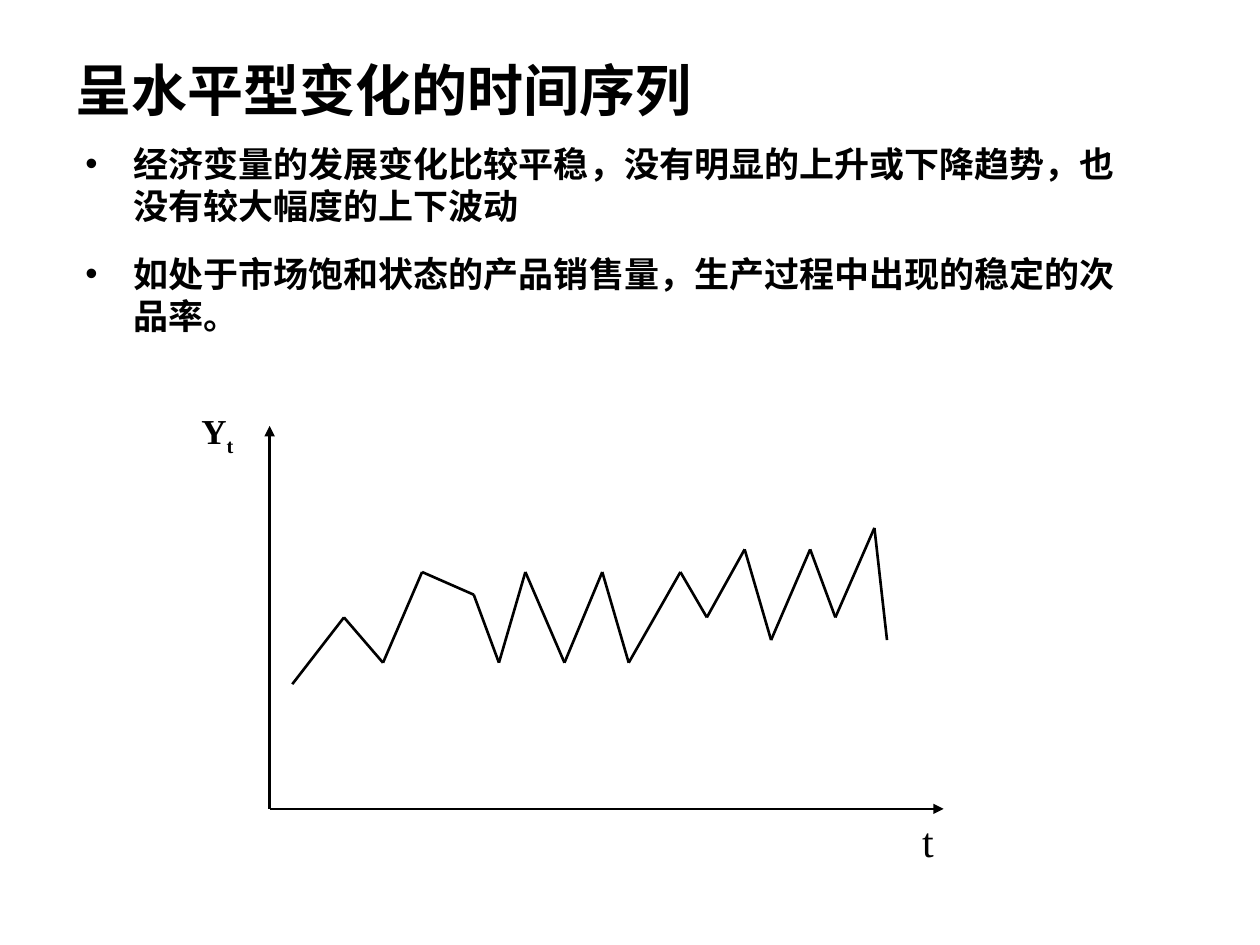
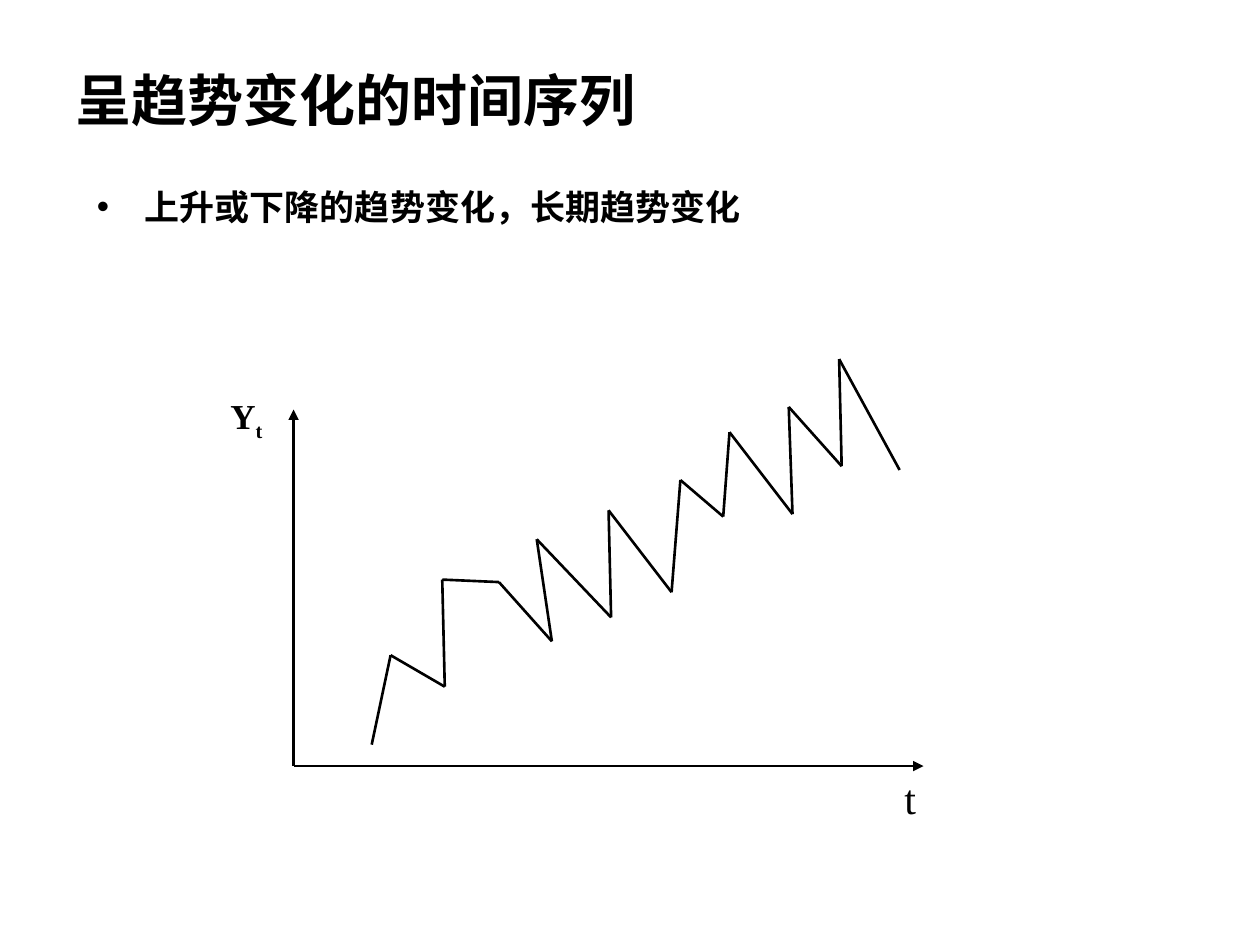
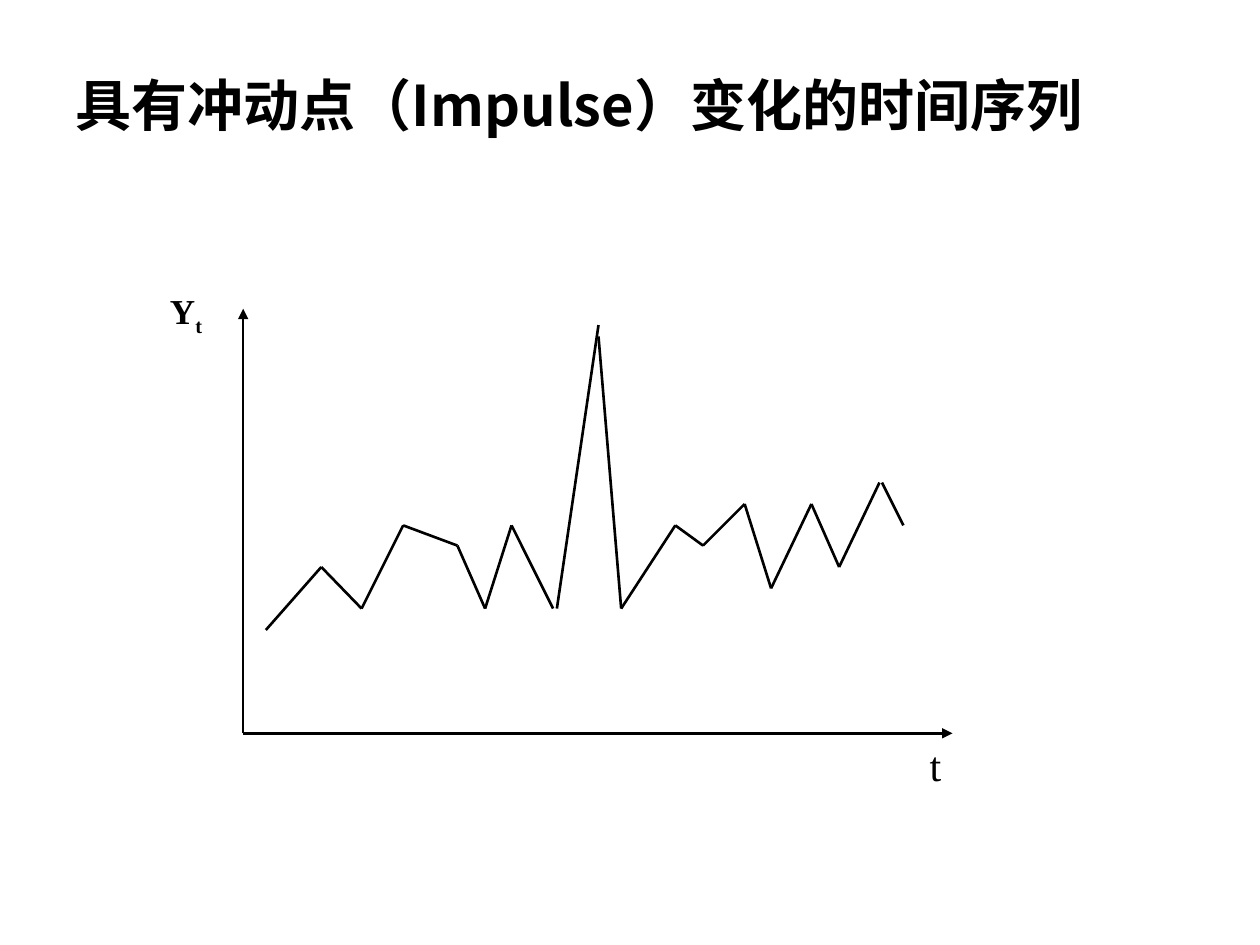
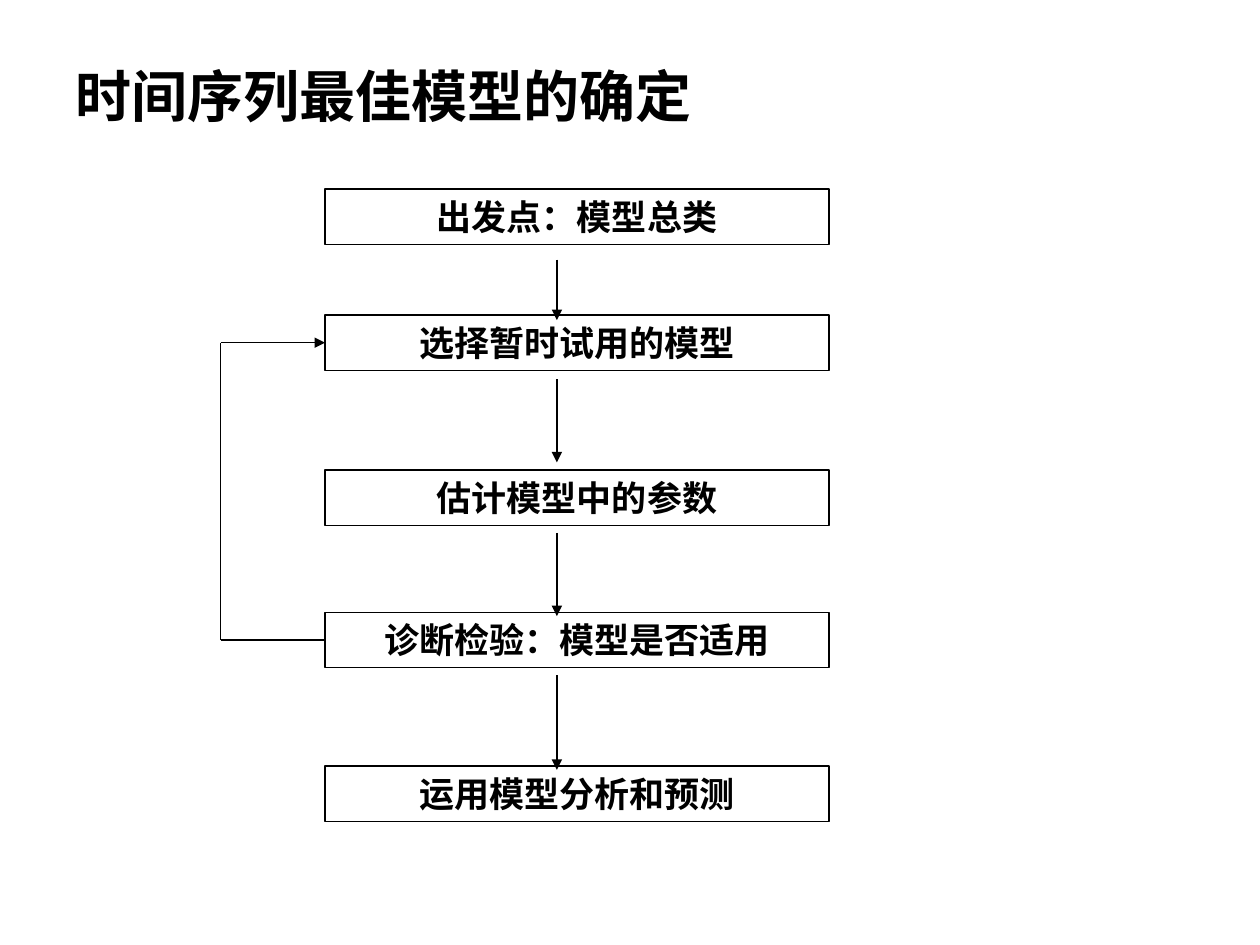
from dataclasses import dataclass
from itertools import pairwise
from typing import Any, NamedTuple

from lxml.etree import SubElement
from pptx import Presentation
from pptx.dml.color import RGBColor
from pptx.enum.shapes import MSO_CONNECTOR as Connector, MSO_SHAPE as Preset
from pptx.enum.text import MSO_ANCHOR as Anchor, MSO_AUTO_SIZE as AutoSize, PP_ALIGN as Align
from pptx.oxml.ns import qn
from pptx.slide import Slide
from pptx.util import Emu, Pt

PX = 9144
BLACK = RGBColor(0, 0, 0)
LATIN, CHINESE, SERIF = "Arial", "Noto Sans CJK SC", "Times New Roman"
TITLE_FONT = {"size": Pt(32), "bold": True, "name": LATIN}
BODY_FONT = {"size": Pt(20), "bold": True, "name": LATIN}
SERIF_FONT = {"size": Pt(20), "bold": True, "name": SERIF}
TIME_FONT = {"size": Pt(24), "bold": False, "name": SERIF}
TITLE_FRAME = {"word_wrap": True, "vertical_anchor": Anchor.MIDDLE}
TEXT_FRAME = {"word_wrap": True, "vertical_anchor": Anchor.TOP}
GROWING_FRAME = TEXT_FRAME | {"auto_size": AutoSize.SHAPE_TO_FIT_TEXT}
LINE_PITCH = Pt(24)
BULLET_INDENT = 38
PLOT_LINE, FLOW_LINE = 1.5, 0.75


class Point(NamedTuple):
    x: int
    y: int


class Box(NamedTuple):
    left: int
    top: int
    width: int
    height: int


@dataclass(frozen=True)
class Plot:
    origin: Point
    y_tip: int
    x_tip: int
    y_label: Box
    t_label: Box
    strokes: list[list[tuple[int, int]]]


@dataclass(frozen=True)
class SeriesSlide:
    title: str
    title_box: Box
    plot: Plot
    title_font: str = LATIN
    bullets: tuple[str, ...] = ()
    bullet_box: Box | None = None


SERIES_SLIDES = [
    SeriesSlide(
        "呈水平型变化的时间序列", Box(50, 42, 900, 58),
        Plot(Point(214, 642), 338, 749, Box(150, 320, 64, 48), Box(722, 642, 45, 50), [[
            (232, 543), (273, 490), (304, 526), (335, 454), (376, 472), (396, 526),
            (417, 454), (448, 526), (478, 454), (499, 526), (540, 454), (561, 490),
            (591, 436), (612, 508), (643, 436), (663, 490), (694, 419), (704, 508)]]),
        bullets=("经济变量的发展变化比较平稳，没有明显的上升或下降趋势，也没有较大幅度的上下波动",
                 "如处于市场饱和状态的产品销售量，生产过程中出现的稳定的次品率。"),
        bullet_box=Box(58, 108, 850, 167)),
    SeriesSlide(
        "呈趋势变化的时间序列", Box(50, 50, 900, 58),
        Plot(Point(233, 608), 325, 733, Box(173, 308, 60, 48), Box(708, 608, 42, 50), [[
            (295, 591), (310, 520), (353, 545), (351, 460), (396, 462), (438, 509),
            (426, 428), (485, 490), (483, 405), (533, 470), (540, 381), (574, 410),
            (579, 343), (629, 408), (626, 323), (668, 370), (666, 285), (714, 373)]]),
        bullets=("上升或下降的趋势变化，长期趋势变化",),
        bullet_box=Box(67, 142, 850, 50)),
    SeriesSlide(
        "具有冲动点（Impulse）变化的时间序列", Box(50, 58, 900, 50),
        Plot(Point(193, 582), 245, 756, Box(125, 225, 68, 48), Box(728, 582, 47, 50), [
            [(211, 500), (255, 450), (287, 483), (320, 417), (363, 433), (385, 483),
             (406, 417), (439, 483)],
            [(442, 483), (475, 258)],
            [(475, 267), (493, 483), (536, 417), (558, 433), (591, 400), (612, 467),
             (644, 400), (666, 450), (698, 383)],
            [(700, 383), (717, 417)]]),
        title_font=CHINESE),
]

STEPS = [("出发点：模型总类", 150), ("选择暂时试用的模型", 250), ("估计模型中的参数", 373),
         ("诊断检验：模型是否适用", 486), ("运用模型分析和预测", 608)]
STEP_LEFT, STEP_WIDTH, STEP_HEIGHT = 258, 400, 44
STEP_ARROWS = [(206, 254), (301, 367), (423, 489), (536, 611)]
ARROW_X, LOOP_X = 442, 175


def apply_format(target: Any, values: dict[str, Any]) -> None:
    for name, value in values.items():
        setattr(target, name, value)


def to_emu(*lengths: int) -> list[Emu]:
    return [Emu(length * PX) for length in lengths]


def add_run(paragraph: Any, text: str, font: dict[str, Any]) -> Any:
    run = paragraph.add_run()
    run.text = text
    apply_format(run.font, font)
    run.font.color.rgb = BLACK
    properties = run.font._element
    SubElement(properties, qn("a:ea"), typeface=CHINESE)
    return properties


def add_text_box(slide: Slide, box: Box, frame_format: dict[str, Any]) -> Any:
    frame = slide.shapes.add_textbox(*to_emu(*box)).text_frame
    apply_format(frame, frame_format)
    return frame


def add_title(slide: Slide, text: str, box: Box, font_name: str = LATIN) -> None:
    frame = add_text_box(slide, box, TITLE_FRAME)
    add_run(frame.paragraphs[0], text, TITLE_FONT | {"name": font_name})


def add_bullets(slide: Slide, texts: tuple[str, ...], box: Box) -> None:
    frame = add_text_box(slide, box, TEXT_FRAME)
    for index, text in enumerate(texts):
        paragraph = frame.add_paragraph() if index else frame.paragraphs[0]
        properties = paragraph._p.get_or_add_pPr()
        properties.set("marL", str(BULLET_INDENT * PX))
        properties.set("indent", str(-BULLET_INDENT * PX))
        color = SubElement(properties, qn("a:buClr"))
        SubElement(color, qn("a:srgbClr"), val=str(BLACK))
        SubElement(properties, qn("a:buFont"), typeface=LATIN)
        SubElement(properties, qn("a:buChar"), char="•")
        apply_format(paragraph, {"line_spacing": LINE_PITCH, "space_after": Pt(7.5),
                                 "space_before": Pt(7.5 if index else 0)})
        add_run(paragraph, text, BODY_FONT)


def add_line(slide: Slide, start: tuple[int, int], end: tuple[int, int],
             width: float, arrow: bool = False) -> None:
    connector = slide.shapes.add_connector(Connector.STRAIGHT, *to_emu(*start, *end))
    connector.line.color.rgb = BLACK
    connector.line.width = Pt(width)
    properties = connector._element.spPr
    if arrow:
        SubElement(properties.find(qn("a:ln")), qn("a:tailEnd"), type="triangle")
    SubElement(properties, qn("a:effectLst"))


def add_plot(slide: Slide, plot: Plot) -> None:
    origin = plot.origin
    for tip in (Point(origin.x, plot.y_tip), Point(plot.x_tip, origin.y)):
        add_line(slide, origin, tip, PLOT_LINE, arrow=True)
    y_paragraph = add_text_box(slide, plot.y_label, GROWING_FRAME).paragraphs[0]
    add_run(y_paragraph, "Y", SERIF_FONT)
    add_run(y_paragraph, "t", SERIF_FONT).set("baseline", "-25000")
    t_paragraph = add_text_box(slide, plot.t_label, GROWING_FRAME).paragraphs[0]
    add_run(t_paragraph, "t", TIME_FONT)
    for stroke in plot.strokes:
        for start, end in pairwise(stroke):
            add_line(slide, start, end, PLOT_LINE)


def add_step(slide: Slide, text: str, top: int) -> None:
    box = Box(STEP_LEFT, top, STEP_WIDTH, STEP_HEIGHT)
    shape = slide.shapes.add_shape(Preset.RECTANGLE, *to_emu(*box))
    shape.shadow.inherit = False
    shape.fill.background()
    shape.line.color.rgb = BLACK
    shape.line.width = Pt(FLOW_LINE)
    apply_format(shape.text_frame, GROWING_FRAME)
    paragraph = shape.text_frame.paragraphs[0]
    apply_format(paragraph, {"alignment": Align.CENTER, "line_spacing": LINE_PITCH})
    add_run(paragraph, text, SERIF_FONT)


def add_flow(slide: Slide) -> None:
    for text, top in STEPS:
        add_step(slide, text, top)
    retry_y, check_y = (STEPS[index][1] + STEP_HEIGHT // 2 for index in (1, 3))
    loop = [(STEP_LEFT, check_y), (LOOP_X, check_y), (LOOP_X, retry_y), (STEP_LEFT, retry_y)]
    for start, end in pairwise(loop):
        add_line(slide, start, end, FLOW_LINE, arrow=end == loop[-1])
    for top, bottom in STEP_ARROWS:
        add_line(slide, (ARROW_X, top), (ARROW_X, bottom), FLOW_LINE, arrow=True)


def main() -> None:
    presentation = Presentation()
    presentation.slide_width, presentation.slide_height = to_emu(1000, 750)
    blank = presentation.slide_layouts[6]
    for content in SERIES_SLIDES:
        slide = presentation.slides.add_slide(blank)
        add_title(slide, content.title, content.title_box, content.title_font)
        if content.bullet_box:
            add_bullets(slide, content.bullets, content.bullet_box)
        add_plot(slide, content.plot)
    slide = presentation.slides.add_slide(blank)
    add_title(slide, "时间序列最佳模型的确定", Box(50, 42, 900, 67))
    add_flow(slide)
    presentation.save("out.pptx")


if __name__ == "__main__":
    main()
